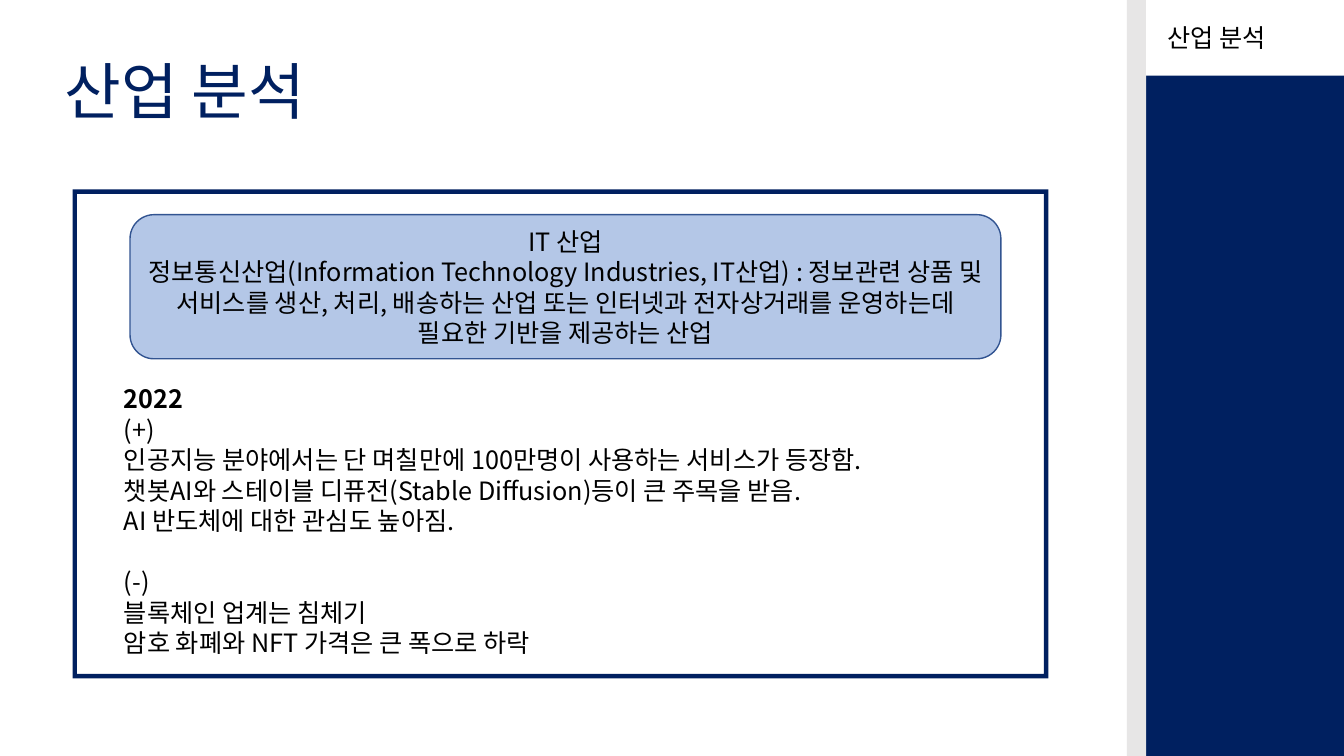
from dataclasses import dataclass, field
from typing import Any

import pptx
import pptx.dml.color
import pptx.enum.shapes
import pptx.enum.text
import pptx.oxml
import pptx.oxml.ns
import pptx.util

Pt = pptx.util.Pt
Shape = pptx.enum.shapes.MSO_SHAPE
Align = pptx.enum.text.PP_ALIGN
Anchor = pptx.enum.text.MSO_ANCHOR


@dataclass(frozen=True)
class Theme:
    navy: str = "002060"
    gray: str = "E7E6E6"
    white: str = "FFFFFF"
    black: str = "000000"
    pale_blue: str = "B4C7E7"
    outline: str = "325491"
    heading_font: str = "Calibri"
    body_font: str = "Noto Sans CJK KR"
    title_size: float = 44
    text_size: float = 18
    line_pitch: float = 21.8


THEME = Theme()


@dataclass(frozen=True)
class Area:
    left: float
    top: float
    width: float
    height: float


@dataclass(frozen=True)
class Panel:
    area: Area
    fill: str
    kind: Any = Shape.RECTANGLE
    line: str | None = None
    adjustment: float | None = None


@dataclass(frozen=True)
class Line:
    text: str
    bold: bool = False
    before: float = 0


@dataclass(frozen=True)
class Style:
    font: str = THEME.body_font
    size: float = THEME.text_size
    color: str = THEME.black
    align: Any = Align.LEFT
    spacing: Any = field(default_factory=lambda: Pt(THEME.line_pitch))


PAGE_WIDTH, PAGE_HEIGHT = 960, 540
SIDE_LEFT = 818.64
SIDE_WIDTH = PAGE_WIDTH - SIDE_LEFT

TITLE_AREA = Area(38.88, 40.32, 403.92, 187.92)
BODY_AREA = Area(81.36, 270, 642.24, 203.76)
LABEL_AREA = Area(SIDE_LEFT, 12.24, 103.68, 28.8)

PANELS = [
    Panel(Area(SIDE_LEFT, 0, SIDE_WIDTH, PAGE_HEIGHT), THEME.navy),
    Panel(Area(804.96, 0, 13.68, PAGE_HEIGHT), THEME.gray),
    Panel(Area(SIDE_LEFT, 0, SIDE_WIDTH, 54), THEME.white),
    Panel(Area(51.84, 135.36, 696.96, 349.2), THEME.navy, Shape.FRAME, adjustment=0.009),
]
DEFINITION_PANEL = Panel(Area(92.88, 153.36, 622.08, 102.96), THEME.pale_blue,
                         Shape.ROUNDED_RECTANGLE, THEME.outline)

TITLE = "산업 분석"
DEFINITION = [
    Line("IT 산업"),
    Line("정보통신산업(Information Technology Industries, IT산업) : 정보관련 상품 및 서비스를 "
         "생산, 처리, 배송하는 산업 또는 인터넷과 전자상거래를 운영하는데 필요한 기반을 제공하는 산업"),
]
TRENDS = [
    Line("2022", bold=True),
    Line("(+)"),
    Line("인공지능 분야에서는 단 며칠만에 100만명이 사용하는 서비스가 등장함."),
    Line("챗봇AI와 스테이블 디퓨전(Stable Diffusion)등이 큰 주목을 받음."),
    Line("AI 반도체에 대한 관심도 높아짐."),
    Line("(-)", before=THEME.line_pitch),
    Line("블록체인 업계는 침체기"),
    Line("암호 화폐와 NFT 가격은 큰 폭으로 하락"),
]


def rgb(color: str) -> Any:
    return pptx.dml.color.RGBColor.from_string(color)


def apply(target: Any, formats: dict[str, Any]) -> None:
    for name, value in formats.items():
        setattr(target, name, value)


def place(box: Any, area: Area) -> None:
    apply(box, {"left": Pt(area.left), "top": Pt(area.top),
                "width": Pt(area.width), "height": Pt(area.height)})


def draw_panel(page: Any, panel: Panel) -> Any:
    area = panel.area
    box = page.shapes.add_shape(panel.kind, Pt(area.left), Pt(area.top),
                                Pt(area.width), Pt(area.height))
    box.shadow.inherit = False
    box.fill.solid()
    box.fill.fore_color.rgb = rgb(panel.fill)
    if panel.line:
        box.line.color.rgb = rgb(panel.line)
        box.line.width = Pt(1)
    else:
        box.line.fill.background()
    if panel.adjustment is not None:
        box.adjustments[0] = panel.adjustment
    return box


def remove_bullet(para: Any) -> None:
    properties = para._p.get_or_add_pPr()
    apply(properties, {})
    properties.set("marL", "0")
    properties.set("indent", "0")
    properties.append(pptx.oxml.parse_xml(
        f'<a:buNone {pptx.oxml.ns.nsdecls("a")}/>'))


def write(box: Any, lines: list[Line], style: Style, **frame_formats: Any) -> None:
    frame = box.text_frame
    apply(frame, {"word_wrap": True, "auto_size": pptx.enum.text.MSO_AUTO_SIZE.NONE,
                  "vertical_anchor": Anchor.TOP} | frame_formats)
    for index, line in enumerate(lines):
        para = frame.paragraphs[0] if index == 0 else frame.add_paragraph()
        remove_bullet(para)
        apply(para, {"alignment": style.align, "line_spacing": style.spacing,
                     "space_before": Pt(line.before), "space_after": Pt(0)})
        span = para.add_run()
        span.text = line.text
        apply(span.font, {"name": style.font, "size": Pt(style.size), "bold": line.bold})
        span.font.color.rgb = rgb(style.color)


def main() -> None:
    deck = pptx.Presentation()
    apply(deck, {"slide_width": Pt(PAGE_WIDTH), "slide_height": Pt(PAGE_HEIGHT)})
    page = deck.slides.add_slide(deck.slide_layouts[1])

    # Side bar and content frame
    for panel in PANELS:
        draw_panel(page, panel)

    # Title
    title = page.shapes.title
    place(title, TITLE_AREA)
    write(title, [Line(TITLE)],
          Style(THEME.heading_font, THEME.title_size, THEME.navy, spacing=0.9))

    # Industry definition
    write(draw_panel(page, DEFINITION_PANEL), DEFINITION, Style(align=Align.CENTER),
          vertical_anchor=Anchor.MIDDLE)

    # Trends of the year
    body = page.placeholders[1]
    place(body, BODY_AREA)
    write(body, TRENDS, Style())

    # Section label on the side bar
    label = page.shapes.add_textbox(0, 0, 0, 0)
    place(label, LABEL_AREA)
    write(label, [Line(TITLE)], Style(THEME.heading_font, spacing=1.0),
          word_wrap=False, margin_left=Pt(15.3))

    deck.save("out.pptx")


if __name__ == "__main__":
    main()
